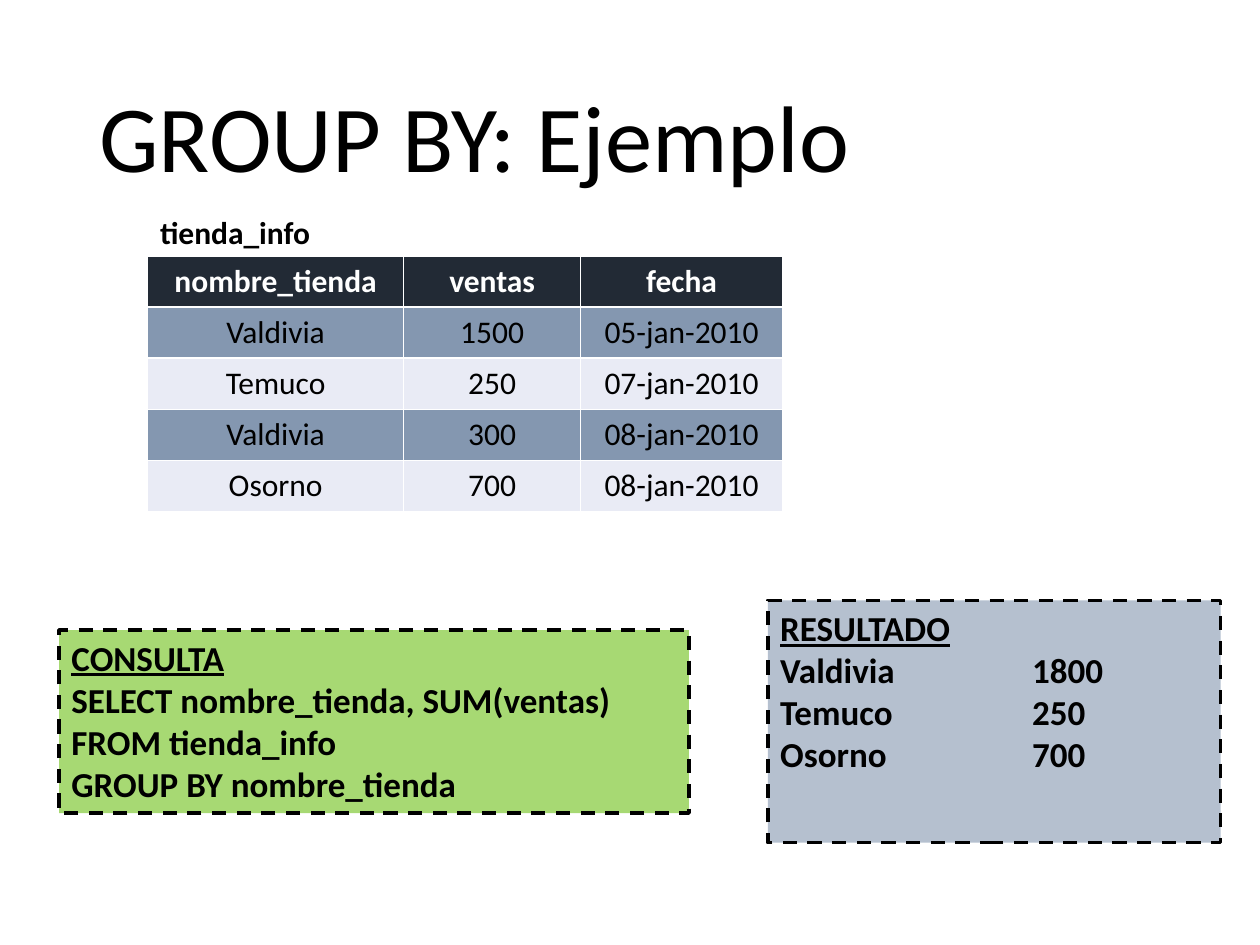
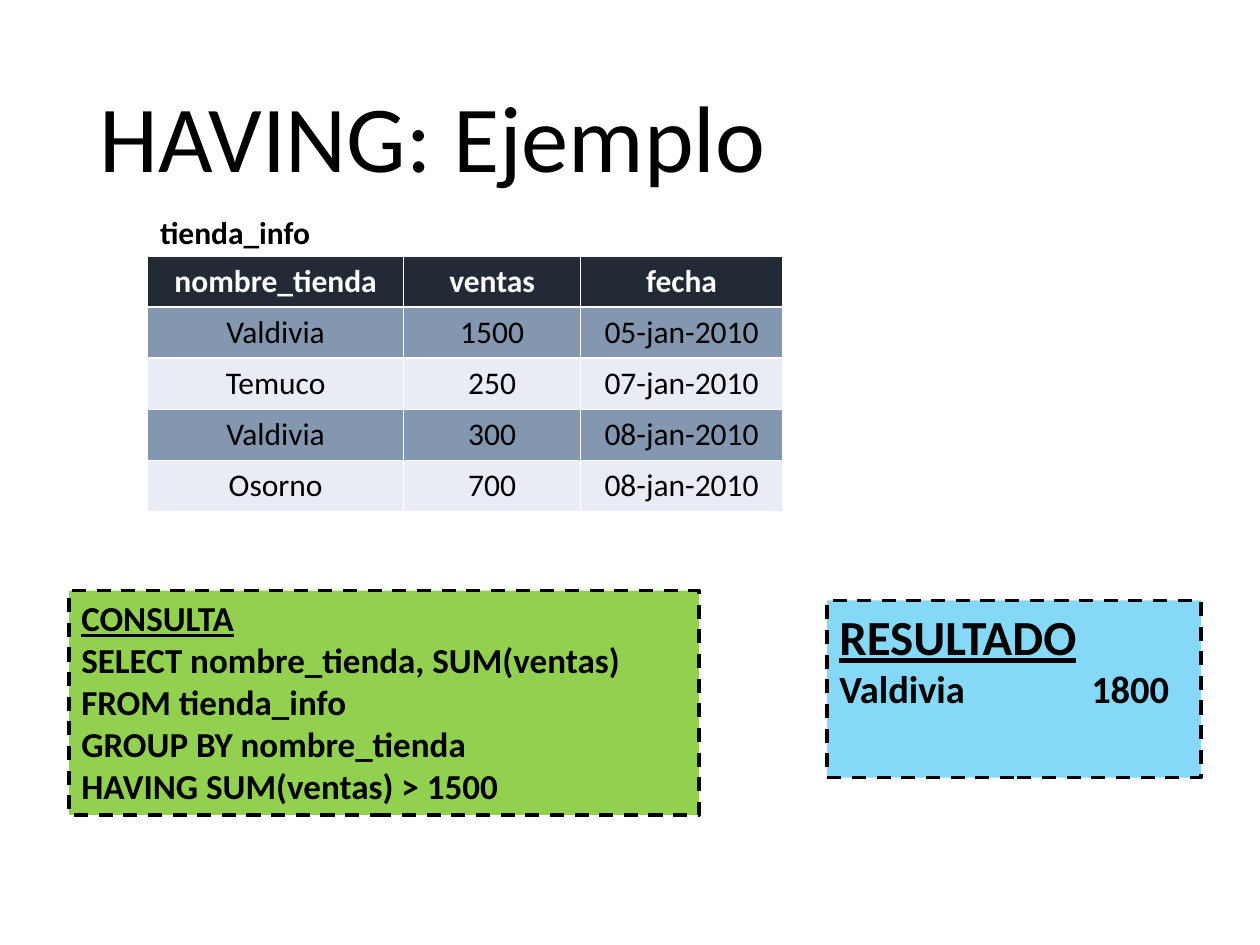
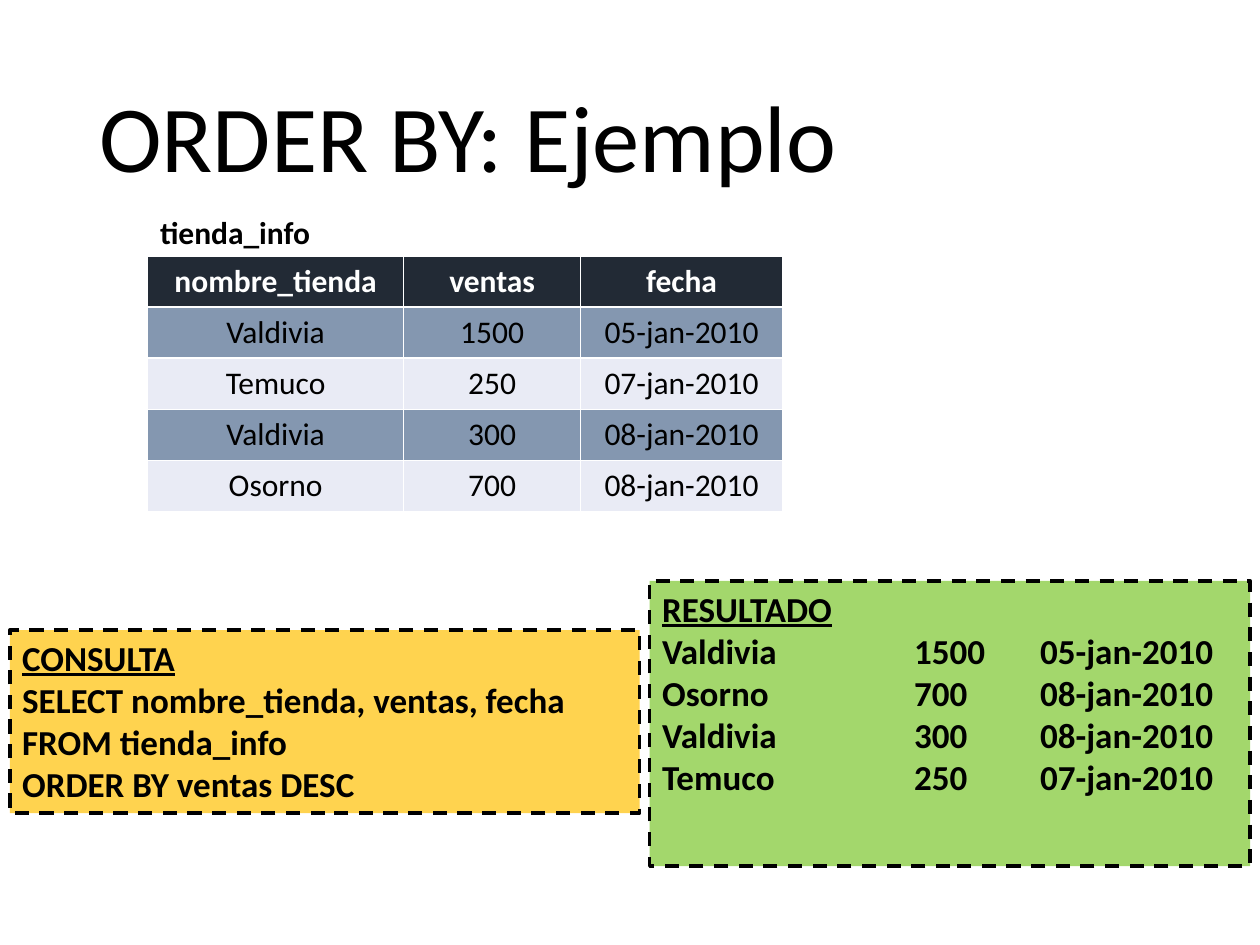
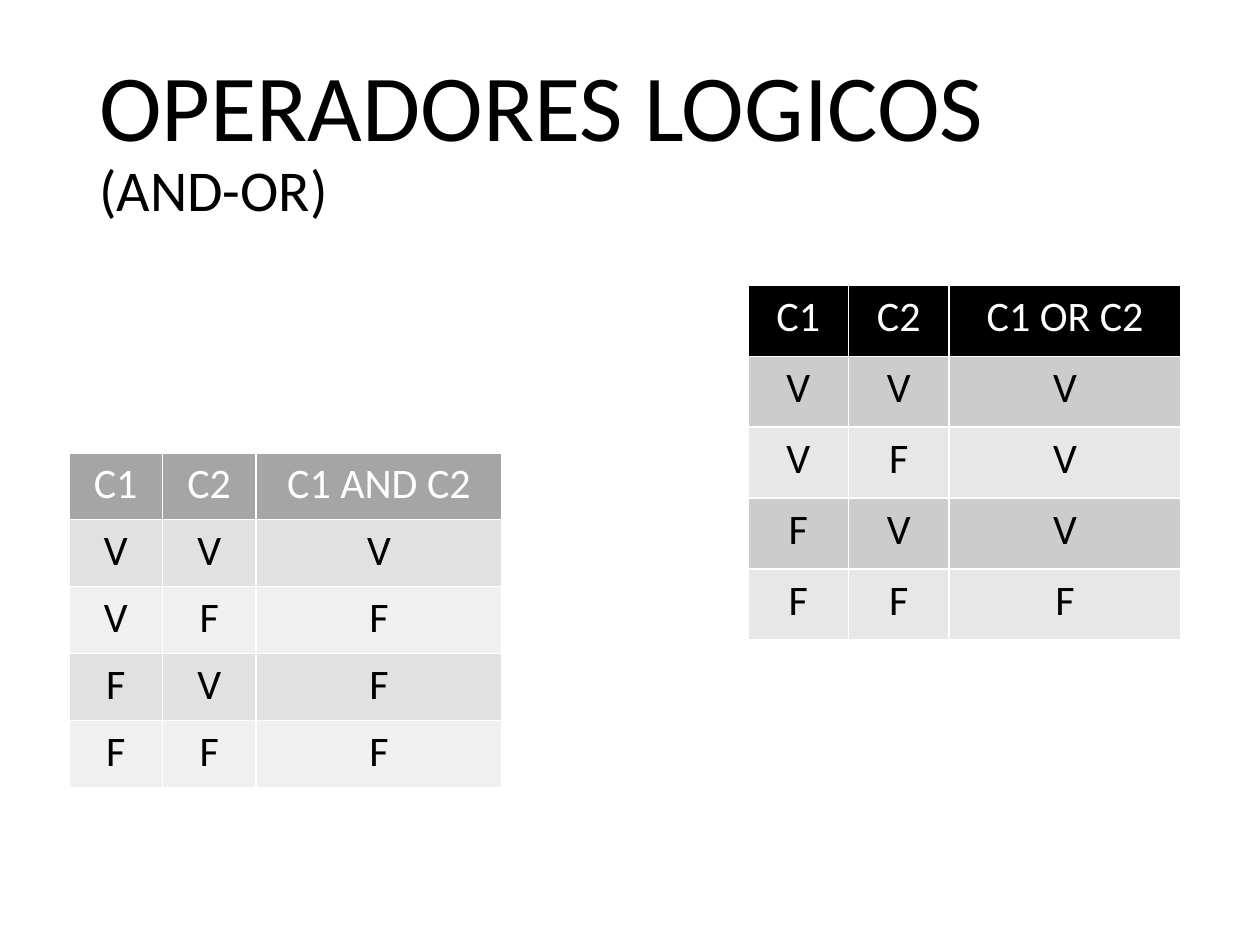
import pptx
import pptx.dml.color
import pptx.enum.dml
import pptx.enum.shapes
import pptx.enum.text
import pptx.util
from dataclasses import dataclass
from lxml import etree
from pptx.oxml.ns import qn


@dataclass(frozen=True)
class Theme:
    font: str = "Calibri"
    black: str = "000000"
    white: str = "FFFFFF"
    green: str = "92D050"
    slate: str = "8497B0"
    blue: str = "00B0F0"
    amber: str = "FFC000"
    title: int = 54
    subtitle: int = 33
    table: int = 18
    logic: int = 24
    code: int = 20
    result_head: int = 28
    result_row: int = 22


T = Theme()
RGB = pptx.dml.color.RGBColor.from_string
ALIGN = pptx.enum.text.PP_ALIGN
ANCHOR = pptx.enum.text.MSO_ANCHOR

prs = pptx.Presentation()
prs.slide_width = pptx.util.Inches(10)
prs.slide_height = pptx.util.Inches(7.5)
TITLE_ONLY = prs.slide_layouts[5]
UNIT = prs.slide_width / 128  # square grid of 128 columns and 96 rows
TAB_STOPS = (2, 3)  # inches


def write(p, text, size, color=T.black, align=ALIGN.LEFT, **font):
    p.text = text
    p.alignment = align
    for r in p.runs:
        r.font.color.rgb = RGB(color)
        for name, value in {"name": T.font, "size": pptx.util.Pt(size), **font}.items():
            setattr(r.font, name, value)


def add_grid(s, left, top, cols, row, rows, fills, size, bold_head):
    """Add a table; fills are the colours of the header, odd and even rows."""
    box = [round(v * UNIT) for v in (left, top, sum(cols), row * len(rows))]
    table = s.shapes.add_table(len(rows), len(cols), *box).table
    for column, width in zip(table.columns, cols):
        column.width = round(width * UNIT)
    head, odd, even = fills
    for i, values in enumerate(rows):
        for j, value in enumerate(values):
            cell = table.cell(i, j)
            cell.fill.solid()
            cell.fill.fore_color.rgb = RGB(head if i == 0 else odd if i % 2 else even)
            write(cell.text_frame.paragraphs[0], value, size,
                  T.black if i else T.white, ALIGN.CENTER, bold=bold_head and i == 0)


STORE_ROWS = [
    ("nombre_tienda", "ventas", "fecha"),
    ("Valdivia", "1500", "05-jan-2010"),
    ("Temuco", "250", "07-jan-2010"),
    ("Valdivia", "300", "08-jan-2010"),
    ("Osorno", "700", "08-jan-2010"),
]

# Each panel: grid box, fill, opacity in percent, heading and row sizes, paragraphs
EXAMPLES = [
    ("GROUP BY: Ejemplo", [
        ((6, 64, 64, 18.6), T.green, 80, T.code, T.code,
         ["CONSULTA",
          "SELECT nombre_tienda, SUM(ventas)\nFROM tienda_info\nGROUP BY nombre_tienda"]),
        ((78, 61, 46, 24.6), T.slate, 60, T.code, T.code,
         ["RESULTADO", "Valdivia\t1800", "Temuco\t250", "Osorno\t700"]),
    ]),
    ("HAVING: Ejemplo", [
        ((7, 60, 64, 22.8), T.green, 100, T.code, T.code,
         ["CONSULTA", "SELECT nombre_tienda, SUM(ventas)\nFROM tienda_info",
          "GROUP BY nombre_tienda\nHAVING SUM(ventas) > 1500"]),
        ((84, 61, 38, 18), T.blue, 48, T.result_head, T.result_row,
         ["RESULTADO", "Valdivia\t1800"]),
    ]),
    ("ORDER BY: Ejemplo", [
        ((1, 64, 64, 18.6), T.amber, 69, T.code, T.code,
         ["CONSULTA",
          "SELECT nombre_tienda, ventas, fecha\nFROM tienda_info\nORDER BY ventas DESC"]),
        ((66, 59, 61, 29), T.green, 84, T.code, T.code,
         ["RESULTADO", "Valdivia\t1500\t05-jan-2010", "Osorno\t700\t08-jan-2010",
          "Valdivia\t300\t08-jan-2010", "Temuco\t250\t07-jan-2010"]),
    ]),
    ("OPERADORES LOGICOS\n(AND-OR)", []),
]

for title, panels in EXAMPLES:
    s = prs.slides.add_slide(TITLE_ONLY)
    sp = s.shapes.title
    sp.left, sp.top, sp.width, sp.height = [round(v * UNIT) for v in (8.8, 5.1, 110.4, 18.6)]
    tf = sp.text_frame
    tf.vertical_anchor = ANCHOR.MIDDLE
    tf.auto_size = pptx.enum.text.MSO_AUTO_SIZE.NONE
    p = tf.paragraphs[0]
    write(p, title, T.title)
    p.line_spacing = 0.9
    for r in p.runs[1:]:
        r.font.size = pptx.util.Pt(T.subtitle)

    if panels:
        add_grid(s, 15, 26, (26, 18, 20.5), 5.2, STORE_ROWS,
                 ("222A35", T.slate, "E9EBF5"), T.table, True)
        label = s.shapes.add_textbox(*[round(v * UNIT) for v in (15, 21, 46, 5.2)])
        label.text_frame.word_wrap = True
        write(label.text_frame.paragraphs[0], "tienda_info", T.table, bold=True)

    for box, color, opacity, head_size, row_size, lines in panels:
        sp = s.shapes.add_shape(pptx.enum.shapes.MSO_SHAPE.RECTANGLE,
                                *[round(v * UNIT) for v in box])
        sp.shadow.inherit = False
        sp.fill.solid()
        sp.fill.fore_color.rgb = RGB(color)
        if opacity < 100:
            srgb = sp.fill._xPr.find(".//" + qn("a:srgbClr"))
            etree.SubElement(srgb, qn("a:alpha"), val=str(opacity * 1000))
        sp.line.color.rgb = RGB(T.black)
        sp.line.width = pptx.util.Pt(2)
        sp.line.dash_style = pptx.enum.dml.MSO_LINE.DASH
        tf = sp.text_frame
        tf.word_wrap = True
        tf.vertical_anchor = ANCHOR.TOP
        for i, line in enumerate(lines):
            p = tf.add_paragraph() if i else tf.paragraphs[0]
            if "\t" in line:
                tabs = etree.SubElement(p._p.get_or_add_pPr(), qn("a:tabLst"))
                for stop in TAB_STOPS:
                    etree.SubElement(tabs, qn("a:tab"), algn="l",
                                     pos=str(pptx.util.Inches(stop)))
            write(p, line, row_size if i else head_size, bold=True, underline=i == 0)

# Truth tables on the last slide
INPUTS = [("V", "V"), ("V", "F"), ("F", "V"), ("F", "F")]
for operator, results, left, top, cols, row, fills in [
    ("AND", "VFFF", 7, 46, (9.5, 9.5, 25), 6.8, ("A5A5A5", "E1E1E1", "F0F0F0")),
    ("OR", "VVVF", 76, 29, (10.2, 10.2, 23.6), 7.2, (T.black, "CCCCCC", "E7E7E7")),
]:
    rows = [("C1", "C2", f"C1 {operator} C2")]
    rows += [(*pair, result) for pair, result in zip(INPUTS, results)]
    add_grid(s, left, top, cols, row, rows, fills, T.logic, False)

prs.save("out.pptx")
